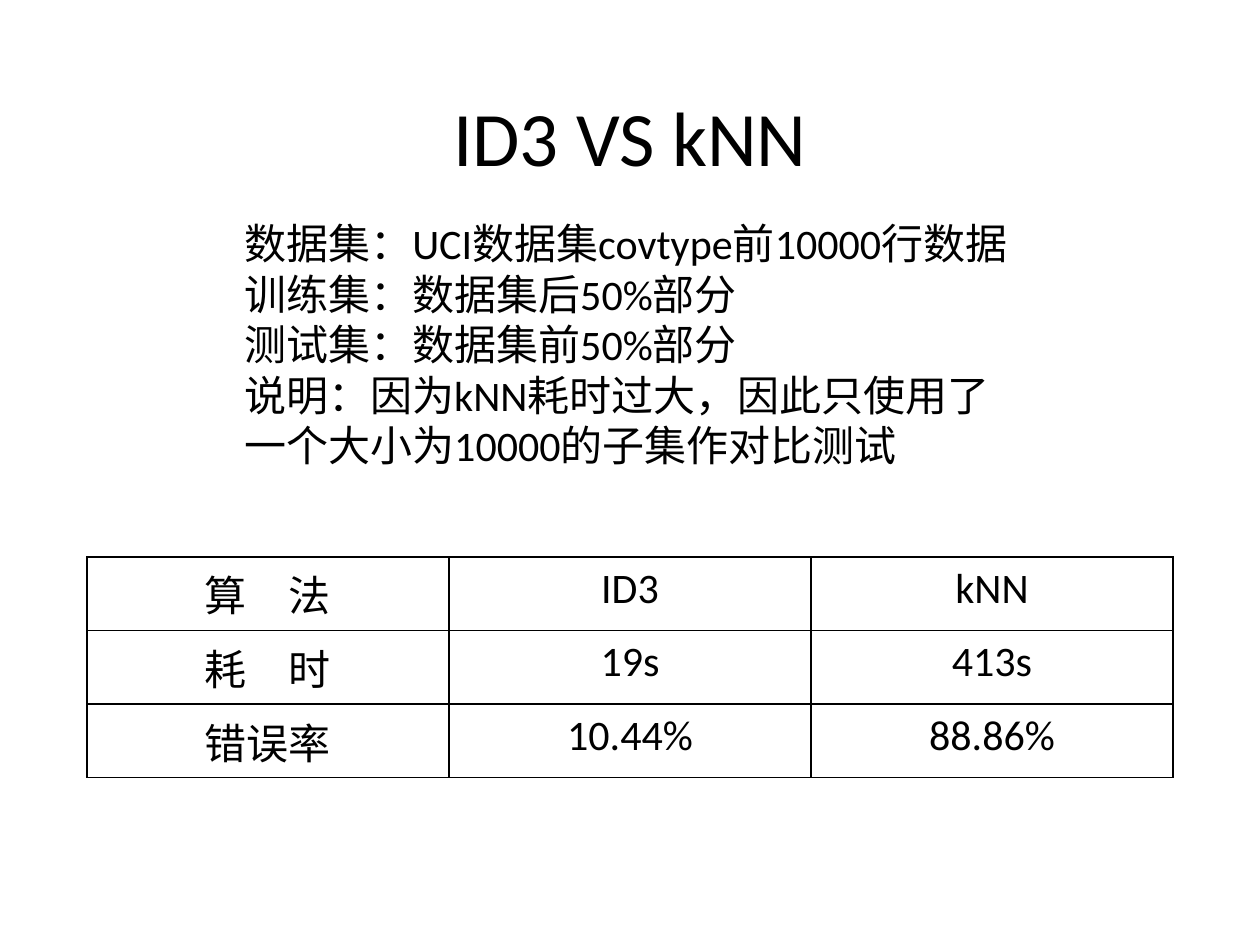
from pptx import Presentation
from pptx.dml.color import RGBColor
from pptx.enum.text import MSO_ANCHOR, MSO_AUTO_SIZE, PP_ALIGN
from pptx.oxml import parse_xml
from pptx.oxml.ns import nsdecls
from pptx.util import Inches, Pt

BLACK = RGBColor(0x00, 0x00, 0x00)
LEFT, WIDTH = Inches(0.69), Inches(8.62)
ROW_HEIGHT = Inches(0.5)

DATASET_NOTES = [
    "数据集：UCI数据集covtype前10000行数据",
    "训练集：数据集后50%部分",
    "测试集：数据集前50%部分",
    "说明：因为kNN耗时过大，因此只使用了一个大小为10000的子集作对比测试",
]
RESULTS = [
    ["算\u3000法", "ID3", "kNN"],
    ["耗\u3000时", "19s", "413s"],
    ["错误率", "10.44%", "88.86%"],
]


def style(paragraph, size, alignment):
    paragraph.alignment = alignment
    paragraph.font.name = "Calibri"
    paragraph.font.size = Pt(size)
    paragraph.font.color.rgb = BLACK


def add_borders(cell):
    properties = cell._tc.get_or_add_tcPr()
    for position, side in enumerate(["lnL", "lnR", "lnT", "lnB"]):
        properties.insert(position, parse_xml(
            f'<a:{side} {nsdecls("a")} w="{Pt(1)}"><a:solidFill>'
            f'<a:srgbClr val="{BLACK}"/></a:solidFill></a:{side}>'))


presentation = Presentation()
presentation.slide_width = Inches(10)
presentation.slide_height = Inches(7.5)
slide = presentation.slides.add_slide(presentation.slide_layouts[5])

# Title
title = slide.shapes.title
title.left, title.top, title.width, title.height = LEFT, Inches(0.4), WIDTH, Inches(1.45)
title.text_frame.text = "ID3 VS kNN"
title.text_frame.vertical_anchor = MSO_ANCHOR.MIDDLE
heading = title.text_frame.paragraphs[0]
heading.line_spacing = 0.9
style(heading, 44, PP_ALIGN.CENTER)

# Results table
table = slide.shapes.add_table(
    len(RESULTS), len(RESULTS[0]), LEFT, Inches(4.42), WIDTH, ROW_HEIGHT * len(RESULTS)).table
table.first_row = False
table.horz_banding = False
for row, values in zip(table.rows, RESULTS):
    for cell, value in zip(row.cells, values):
        cell.text = value
        cell.fill.background()
        style(cell.text_frame.paragraphs[0], 24, PP_ALIGN.CENTER)
        add_borders(cell)

# Dataset notes
notes_box = slide.shapes.add_textbox(Inches(1.84), Inches(1.68), Inches(6.32), Inches(2.12))
notes_frame = notes_box.text_frame
notes_frame.word_wrap = True
notes_frame.auto_size = MSO_AUTO_SIZE.SHAPE_TO_FIT_TEXT
notes_frame.text = "\n".join(DATASET_NOTES)
for paragraph in notes_frame.paragraphs:
    style(paragraph, 24, PP_ALIGN.LEFT)

presentation.save("out.pptx")
